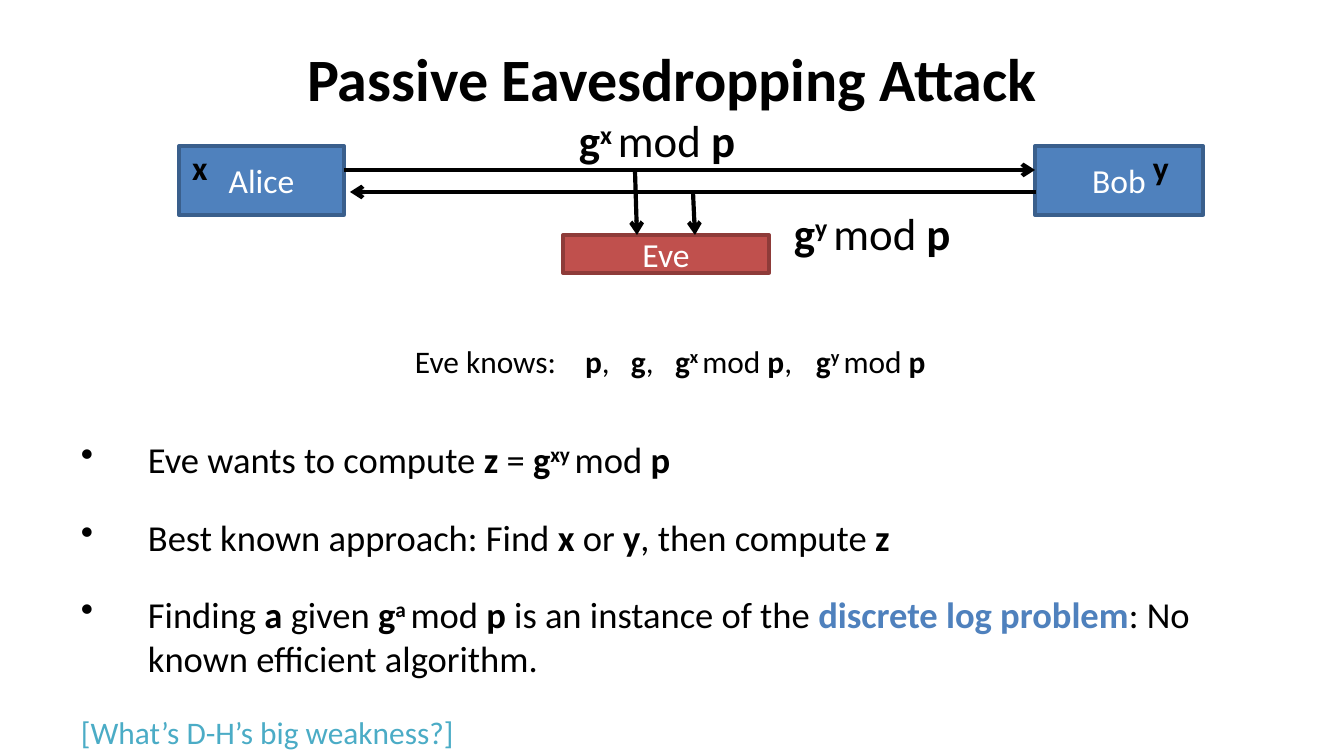
"""Build the passive eavesdropping slide of a Diffie-Hellman lesson."""
from lxml import etree
from pptx import Presentation
from pptx import util as u
from pptx.dml.color import RGBColor
from pptx.enum import shapes, text
from pptx.oxml.ns import qn

PX = 914400 / 134.4
W, H = 1344, 756
BLACK, WHITE, BLUE, RED, TEAL = "000000", "FFFFFF", "4F81BD", "C0504D", "4BACC6"
BLUE_EDGE, RED_EDGE = "3A5F8C", "8E3B39"

# Runs are (text, style): b bold, s bold superscript, k bold key term.
GX = [("g", "b"), ("x ", "s"), ("mod ", ""), ("p", "b")]
GY = [("g", "b"), ("y ", "s"), ("mod ", ""), ("p", "b")]
TITLE = [("Passive Eavesdropping Attack", "b")]
KNOWS = [("Eve knows:\t", ""), ("p", "b"), (",\t", ""), ("g", "b"), (",\t", ""),
         *GX, (",\t", ""), *GY]
KNOWS_TABS = [170, 216, 260, 401]
BULLETS = [
    [("Eve wants to compute ", ""), ("z ", "b"), ("= ", ""), ("g", "b"),
     ("xy ", "s"), ("mod ", ""), ("p", "b")],
    [("Best known approach: Find ", ""), ("x ", "b"), ("or ", ""), ("y", "b"),
     (", then compute ", ""), ("z", "b")],
    [("Finding ", ""), ("a ", "b"), ("given ", ""), ("g", "b"), ("a ", "s"),
     ("mod ", ""), ("p", "b"), (" is an instance of the ", ""),
     ("discrete log problem", "k"), (": No known efficient algorithm.", "")],
]
QUESTION = [("[What’s D-H’s big weakness?]", "")]

PARTIES = [
    ("Alice", (179, 146, 165, 69), BLUE, BLUE_EDGE),
    ("Bob", (1035, 146, 168, 69), BLUE, BLUE_EDGE),
    ("Eve", (563, 235, 206, 38), RED, RED_EDGE),
]
ARROWS = [(344, 170, 1035, 170), (1036, 192, 350, 192),
          (693, 191, 695, 235), (635, 170, 637, 235)]
LABELS = [
    (GX, (579, 113, 180, 54), 24),
    (GY, (794, 206, 180, 54), 24),
    ([("x", "b")], (192, 147, 30, 41), 18),
    ([("y", "b")], (1153, 147, 30, 41), 18),
]


def px(*values):
    return [u.Emu(round(v * PX)) for v in values]


def rgb(value):
    return RGBColor.from_string(value)


def write(tf, runs, size=18, color=BLACK, align="LEFT", before=0, bullet=False, tabs=()):
    p = tf.paragraphs[0]
    if p.runs:
        p = tf.add_paragraph()
    pPr = p._p.get_or_add_pPr()
    if bullet:
        pPr.set("marL", str(px(67)[0]))
        pPr.set("indent", str(px(-67)[0]))
        etree.SubElement(pPr, qn("a:buChar"), char="•")
    if tabs:
        stops = etree.SubElement(pPr, qn("a:tabLst"))
        for pos in px(*tabs):
            etree.SubElement(stops, qn("a:tab"), pos=str(pos), algn="l")
    p.alignment = text.PP_ALIGN[align]
    p.space_before = u.Pt(before)
    for words, style in runs:
        r = p.add_run()
        r.text = words
        r.font.name, r.font.size, r.font.bold = "Calibri", u.Pt(size), bool(style)
        r.font.color.rgb = rgb(BLUE if style == "k" else color)
        if style == "s":
            r._r.get_or_add_rPr().set("baseline", "30000")


def frame(sp, anchor="TOP"):
    tf = sp.text_frame
    tf.margin_left = tf.margin_right = tf.margin_top = tf.margin_bottom = 0
    tf.word_wrap = True
    tf.vertical_anchor = text.MSO_ANCHOR[anchor]
    return tf


def add_text(s, box):
    return frame(s.shapes.add_textbox(*px(*box)))


def add_party(s, name, box, fill, edge):
    sp = s.shapes.add_shape(shapes.MSO_SHAPE.RECTANGLE, *px(*box))
    sp.shadow.inherit = False
    sp.fill.solid()
    sp.fill.fore_color.rgb = rgb(fill)
    sp.line.color.rgb = rgb(edge)
    sp.line.width = u.Pt(2)
    write(frame(sp, "MIDDLE"), [(name, "")], color=WHITE, align="CENTER")


def add_arrow(s, ends):
    c = s.shapes.add_connector(shapes.MSO_CONNECTOR.STRAIGHT, *px(*ends))
    c.line.color.rgb = rgb(BLACK)
    c.line.width = u.Pt(2.25)
    etree.SubElement(c.line._get_or_add_ln(), qn("a:tailEnd"), type="arrow")
    etree.SubElement(c._element.spPr, qn("a:effectLst"))


def main():
    prs = Presentation()
    prs.slide_width, prs.slide_height = px(W, H)
    s = prs.slides.add_slide(prs.slide_layouts[6])
    write(add_text(s, (81, 41, 1182, 73)), TITLE, size=32.2, align="CENTER")
    write(add_text(s, (415, 342, 560, 40)), KNOWS, size=16.8, tabs=KNOWS_TABS)
    body = add_text(s, (81, 437, 1182, 315))
    for i, runs in enumerate(BULLETS):
        write(body, runs, size=19.6, before=18 if i else 0, bullet=True)
    write(body, QUESTION, size=16.8, color=TEAL, before=18)
    for party in PARTIES:
        add_party(s, *party)
    for ends in ARROWS:
        add_arrow(s, ends)
    for runs, box, size in LABELS:
        write(add_text(s, box), runs, size=size)
    prs.save("out.pptx")


if __name__ == "__main__":
    main()
